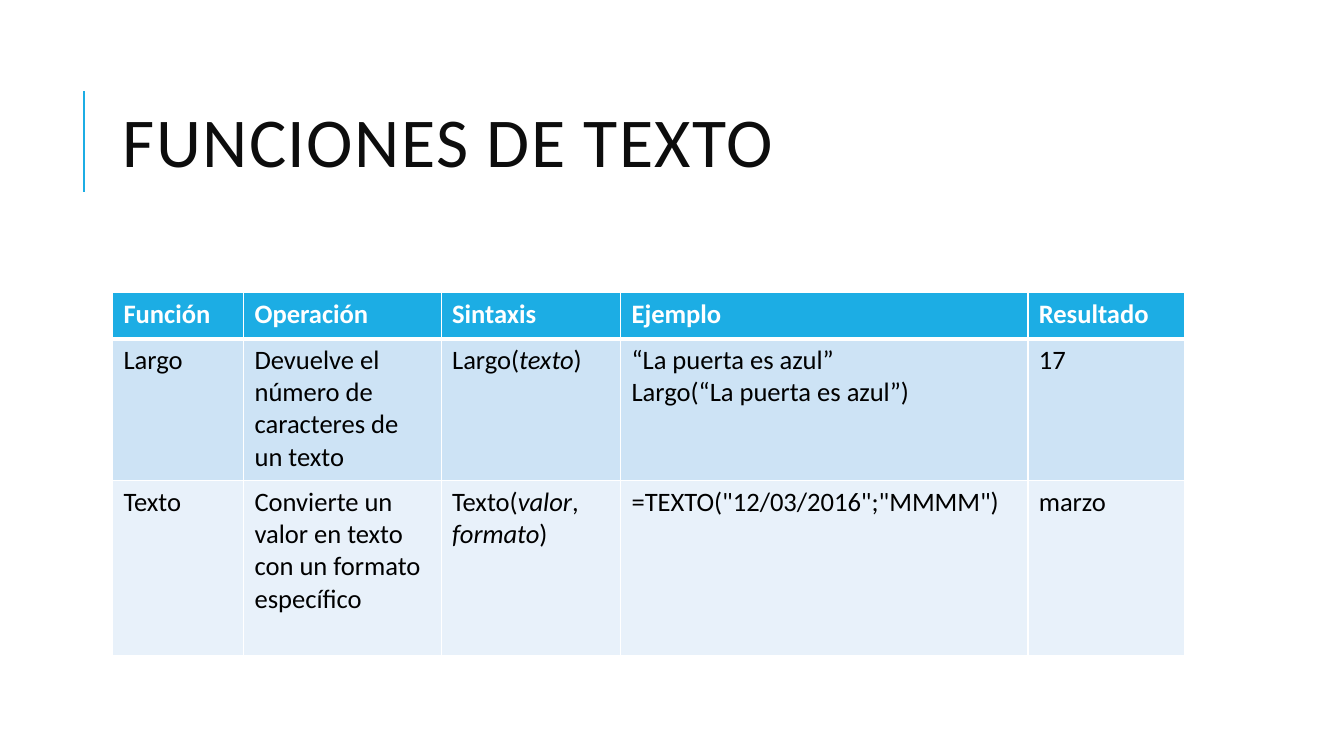
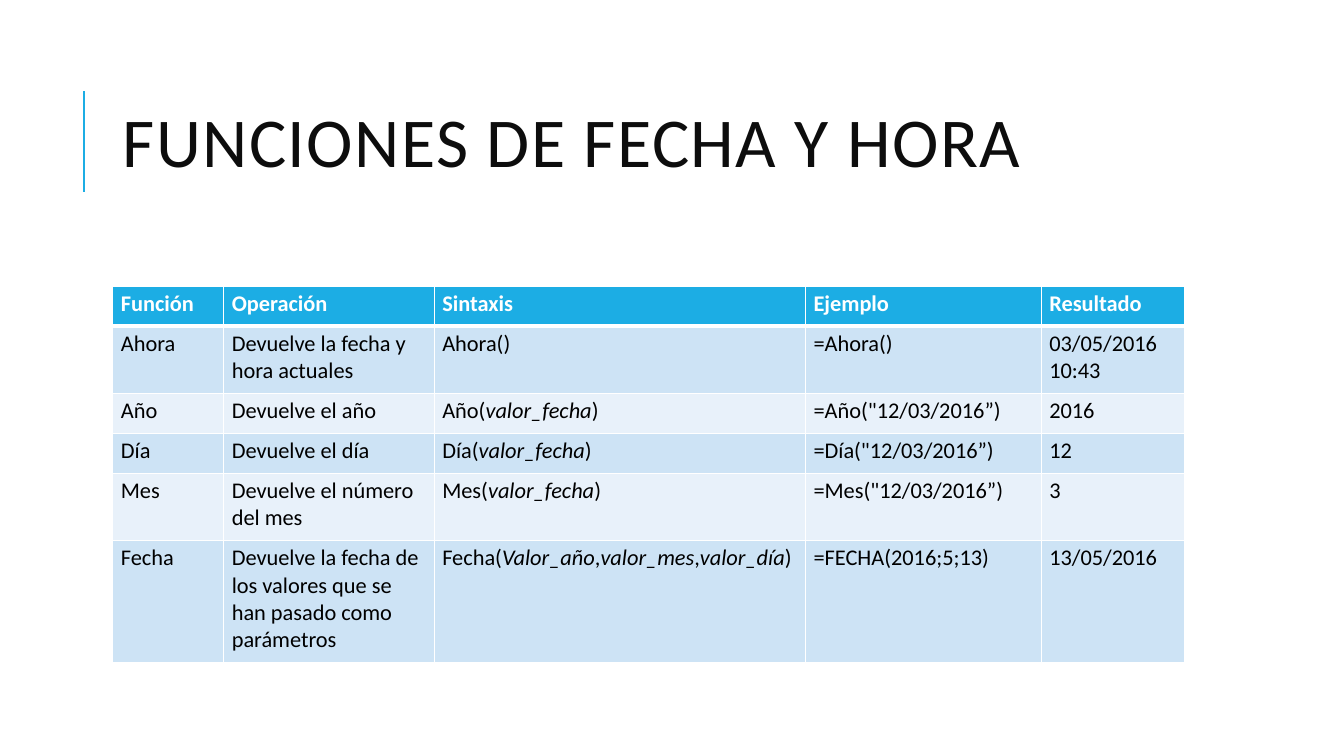
from lxml.etree import SubElement
from pptx import Presentation
from pptx.dml.color import RGBColor
from pptx.enum.shapes import MSO_CONNECTOR
from pptx.enum.text import MSO_ANCHOR, MSO_AUTO_SIZE, PP_ALIGN
from pptx.oxml.ns import qn
from pptx.util import Pt

BLUE = RGBColor(0x1C, 0xAD, 0xE4)
BAND_DARK = RGBColor(0xCD, 0xE3, 0xF5)
BAND_LIGHT = RGBColor(0xE8, 0xF1, 0xFA)
WHITE = RGBColor(0xFF, 0xFF, 0xFF)
BLACK = RGBColor(0, 0, 0)
INK = RGBColor(0x0D, 0x0D, 0x0D)
FONT = "Calibri"

LEFT, WIDTH = 80.6, 765.4
RULE = {"x": 60, "top": 65, "bottom": 137}
TITLE_BOX = {"left": LEFT, "top": 46, "width": WIDTH, "height": 118}
HEADER = ("Función", "Operación", "Sintaxis", "Ejemplo", "Resultado")

SLIDES = [
    {
        "title": "FUNCIONES DE TEXTO",
        "top": 209, "size": 19, "inset": 7.7,
        "cols": (93.6, 141.1, 128.2, 290.9, 111.6),
        "heights": (33, 101.5, 124.6),
        "rows": [
            ("Largo", "Devuelve el número de caracteres de un texto", "Largo(*texto*)",
             "“La puerta es azul”\nLargo(“La puerta es azul”)", "17"),
            ("Texto", "Convierte un valor en texto con un formato específico",
             "Texto(*valor*, *formato*)", '=TEXTO("12/03/2016";"MMMM")', "marzo"),
        ],
    },
    {
        "title": "FUNCIONES DE FECHA Y HORA",
        "top": 204.3, "size": 16, "inset": 5.8,
        "cols": (79.2, 150.4, 265.2, 168.4, 102.2),
        "heights": (28.6, 48, 28.6, 28.6, 48, 87),
        "rows": [
            ("Ahora", "Devuelve la fecha y hora actuales", "Ahora()", "=Ahora()",
             "03/05/2016 10:43"),
            ("Año", "Devuelve el año", "Año(*valor_fecha*)", '=Año("12/03/2016”)', "2016"),
            ("Día", "Devuelve el día", "Día(*valor_fecha*)", '=Día("12/03/2016”)', "12"),
            ("Mes", "Devuelve el número del mes", "Mes(*valor_fecha*)",
             '=Mes("12/03/2016”)', "3"),
            ("Fecha", "Devuelve la fecha de los valores que se han pasado como parámetros",
             "Fecha(*Valor_año*,*valor_mes*,*valor_día*)", "=FECHA(2016;5;13)",
             "13/05/2016"),
        ],
    },
]


def set_attrs(obj, values):
    for name, value in values.items():
        setattr(obj, name, value)


def format_run(r, size, color, bold=False, italic=False):
    set_attrs(r.font, {"name": FONT, "size": Pt(size), "bold": bold, "italic": italic})
    r.font.color.rgb = color


def add_title(s, text):
    sp = s.shapes.title
    set_attrs(sp, {name: Pt(value) for name, value in TITLE_BOX.items()})
    tf = sp.text_frame
    set_attrs(tf, {"word_wrap": True, "auto_size": MSO_AUTO_SIZE.NONE,
                   "vertical_anchor": MSO_ANCHOR.MIDDLE})
    p = tf.paragraphs[0]
    set_attrs(p, {"alignment": PP_ALIGN.LEFT, "line_spacing": 0.8})
    r = p.add_run()
    r.text = text
    format_run(r, 50, INK)
    r.font._element.set("spc", "100")


def add_rule(s):
    x = Pt(RULE["x"])
    line = s.shapes.add_connector(
        MSO_CONNECTOR.STRAIGHT, x, Pt(RULE["bottom"]), x, Pt(RULE["top"]))
    line.line.color.rgb = BLUE
    line.line.width = Pt(1.5)
    SubElement(line._element.spPr, qn("a:effectLst"))


def add_borders(cell, row):
    tc_pr = cell._tc.get_or_add_tcPr()
    thick = {0: "lnB", 1: "lnT"}.get(row)
    for side in ("lnL", "lnR", "lnT", "lnB"):
        width = Pt(3 if side == thick else 1)
        ln = SubElement(tc_pr, qn("a:" + side), w=str(int(width)))
        fill = SubElement(ln, qn("a:solidFill"))
        SubElement(fill, qn("a:srgbClr"), val=str(WHITE))


def fill_cell(cell, text, row, size, inset):
    is_header = row == 0
    add_borders(cell, row)
    cell.fill.solid()
    cell.fill.fore_color.rgb = BLUE if is_header else BAND_DARK if row % 2 else BAND_LIGHT
    set_attrs(cell, {"margin_left": Pt(inset), "margin_right": Pt(inset),
                     "margin_top": Pt(inset / 2), "margin_bottom": Pt(inset / 2)})
    tf = cell.text_frame
    for i, line in enumerate(text.split("\n")):
        p = tf.add_paragraph() if i else tf.paragraphs[0]
        for j, part in enumerate(line.split("*")):
            if part:
                r = p.add_run()
                r.text = part
                format_run(r, size, WHITE if is_header else BLACK, is_header, j % 2 == 1)


def add_function_table(s, data):
    rows = [HEADER] + data["rows"]
    table = s.shapes.add_table(
        len(rows), len(HEADER), Pt(LEFT), Pt(data["top"]),
        Pt(WIDTH), Pt(sum(data["heights"]))).table
    for col, width in zip(table.columns, data["cols"]):
        col.width = Pt(width)
    for i, (texts, height) in enumerate(zip(rows, data["heights"])):
        table.rows[i].height = Pt(height)
        for j, text in enumerate(texts):
            fill_cell(table.cell(i, j), text, i, data["size"], data["inset"])


def main():
    prs = Presentation()
    set_attrs(prs, {"slide_width": Pt(960), "slide_height": Pt(540)})
    for data in SLIDES:
        s = prs.slides.add_slide(prs.slide_layouts[5])
        add_rule(s)
        add_title(s, data["title"])
        add_function_table(s, data)
    prs.save("out.pptx")


if __name__ == "__main__":
    main()
